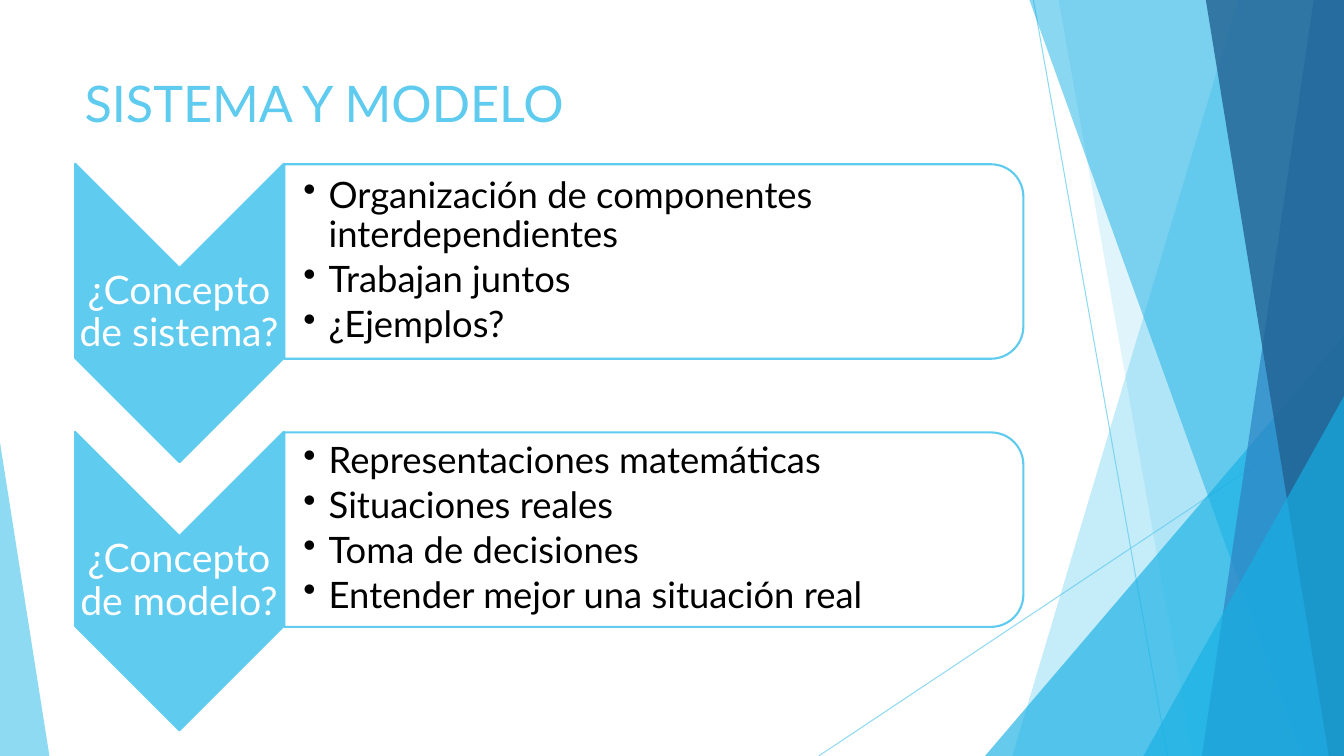
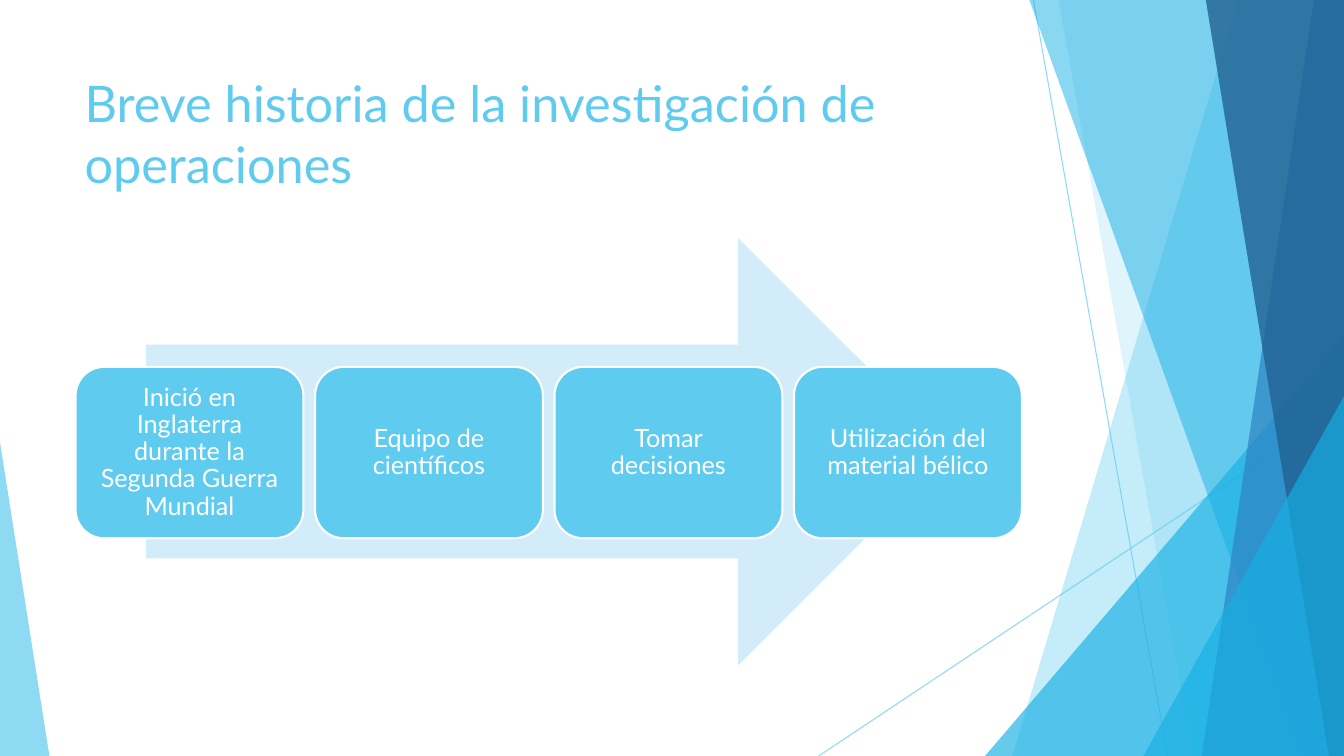
"""Build two slides on systems, models and the history of operations research."""
import dataclasses

import lxml.etree
import pptx
import pptx.dml.color
import pptx.enum.shapes
import pptx.enum.text
import pptx.oxml.ns
import pptx.util

Inches = pptx.util.Inches
Pt = pptx.util.Pt
MSO = pptx.enum.shapes.MSO_SHAPE
ALIGN = pptx.enum.text.PP_ALIGN
ANCHOR = pptx.enum.text.MSO_ANCHOR
qn = pptx.oxml.ns.qn


@dataclasses.dataclass(frozen=True)
class Theme:
    """Shared colours, font and type sizes."""
    font: str = "Lato"
    sky: str = "5FCBEF"
    cyan: str = "17B0E4"
    blue: str = "2E83C3"
    navy: str = "226292"
    pale: str = "D2ECF9"
    white: str = "FFFFFF"
    black: str = "000000"
    title: int = 36
    label: int = 28
    bullet: int = 26
    step: int = 18
    outline: float = 1.5
    hairline: float = 0.75


T = Theme()
W, H = 13.33, 7.5


def paint(sp, fill, alpha=100, line=None):
    """Set the fill, its opacity and the outline of a shape."""
    sp.shadow.inherit = False
    sp.fill.solid()
    sp.fill.fore_color.rgb = pptx.dml.color.RGBColor.from_string(fill)
    if line:
        sp.line.color.rgb = pptx.dml.color.RGBColor.from_string(line)
        sp.line.width = Pt(T.outline)
    else:
        sp.line.fill.background()
    if alpha < 100:
        clr = sp._element.spPr.find(".//" + qn("a:srgbClr"))
        lxml.etree.SubElement(clr, qn("a:alpha"), val=str(alpha * 1000))


def write(sp, lines, size, color, frame, para):
    """Fill a text frame, one paragraph a line, with the given formats."""
    tf = sp.text_frame
    tf.word_wrap = True
    for name, value in frame.items():
        setattr(tf, name, value)
    for i, line in enumerate(lines):
        p = tf.paragraphs[0] if i == 0 else tf.add_paragraph()
        for name, value in para.items():
            setattr(p, name, value)
        r = p.add_run()
        r.text = line
        r.font.name = T.font
        r.font.size = Pt(size)
        r.font.color.rgb = pptx.dml.color.RGBColor.from_string(color)
    return tf


MARGINS = ("margin_left", "margin_top", "margin_right", "margin_bottom")
TITLE_FRAME = {"vertical_anchor": ANCHOR.TOP}
LABEL_FRAME = dict.fromkeys(MARGINS, Inches(0.02)) | {"vertical_anchor": ANCHOR.MIDDLE}
BULLET_FRAME = LABEL_FRAME | {"margin_left": Inches(0.2)}
STEP_FRAME = LABEL_FRAME | dict.fromkeys(MARGINS, Inches(0.15))
TITLE_PARA = {"alignment": ALIGN.LEFT}
LABEL_PARA = {"alignment": ALIGN.CENTER, "line_spacing": 0.9}
BULLET_PARA = {"alignment": ALIGN.LEFT, "line_spacing": 0.9, "space_after": Pt(4)}

HAIRLINES = [(10.25, 0, 11.58, H), (W, 4.03, 8.12, H)]
BANDS = [
    ("band", 12.28, 10.04, T.sky, 36),
    ("band", 10.5, 11.83, T.sky, 20),
    ("triangle", 9.77, 3.33, W - 9.77, 1, T.cyan, 66),
    ("band", 10.21, 12.91, T.cyan, 50),
    ("band", 13.03, 11.92, T.blue, 70),
    ("band", 11.96, 13.18, T.navy, 80),
    ("triangle", 11.34, 3.93, W - 11.34, 1, T.cyan, 66),
    ("triangle", 0, 4.39, 0.49, 0, T.sky, 70),
]
TITLES = ["SISTEMA Y MODELO", "Breve historia de la investigación de operaciones"]
CONCEPTS = [
    ("¿Concepto de sistema?", [
        "Organización de componentes interdependientes",
        "Trabajan juntos",
        "¿Ejemplos?",
    ]),
    ("¿Concepto de modelo?", [
        "Representaciones matemáticas",
        "Situaciones reales",
        "Toma de decisiones",
        "Entender mejor una situación real",
    ]),
]
STEPS = [
    "Inició en Inglaterra durante la Segunda Guerra Mundial",
    "Equipo de científicos",
    "Tomar decisiones",
    "Utilización del material bélico",
]

prs = pptx.Presentation()
prs.slide_width, prs.slide_height = Inches(W), Inches(H)

slides = []
for title in TITLES:
    s = prs.slides.add_slide(prs.slide_layouts[6])
    slides.append(s)
    for ends in HAIRLINES:
        cx = s.shapes.add_connector(
            pptx.enum.shapes.MSO_CONNECTOR.STRAIGHT, *map(Inches, ends))
        cx.line.color.rgb = pptx.dml.color.RGBColor.from_string(T.sky)
        cx.line.width = Pt(T.hairline)
        spPr = cx._element.spPr
        clr = spPr.find(".//" + qn("a:srgbClr"))
        lxml.etree.SubElement(clr, qn("a:alpha"), val="70000")
        lxml.etree.SubElement(spPr, qn("a:effectLst"))
    for kind, *geometry, color, alpha in BANDS:
        if kind == "band":
            top_x, bottom_x = geometry
            fb = s.shapes.build_freeform(Inches(top_x), 0)
            corners = [(W, 0), (W, H), (bottom_x, H)]
            fb.add_line_segments([(Inches(x), Inches(y)) for x, y in corners])
            sp = fb.convert_to_shape()
        else:
            x, y, width, apex = geometry
            sp = s.shapes.add_shape(
                MSO.ISOSCELES_TRIANGLE, *map(Inches, (x, y, width, H - y)))
            sp.adjustments[0] = apex
        paint(sp, color, alpha)
    sp = s.shapes.add_textbox(*map(Inches, (0.74, 0.67, 9.4, 1.44)))
    write(sp, [title], T.title, T.sky, TITLE_FRAME, TITLE_PARA)

s = slides[0]
for i, (label, bullets) in enumerate(CONCEPTS):
    dy = 2.66 * i
    sp = s.shapes.add_shape(MSO.CHEVRON, *map(Inches, (0.3, 2.07 + dy, 2.96, 2.07)))
    sp.rotation = 90
    paint(sp, T.sky, line=T.sky)
    sp = s.shapes.add_textbox(*map(Inches, (0.74, 2.66 + dy, 2.07, 0.89)))
    write(sp, [label], T.label, T.white, LABEL_FRAME, LABEL_PARA)
    sp = s.shapes.add_shape(
        MSO.ROUND_2_SAME_RECTANGLE, *map(Inches, (5.52, -1.07 + dy, 1.93, 7.33)))
    sp.rotation = 90
    paint(sp, T.white, 90, T.sky)
    sp = s.shapes.add_textbox(*map(Inches, (2.81, 1.72 + dy, 7.23, 1.74)))
    tf = write(sp, bullets, T.bullet, T.black, BULLET_FRAME, BULLET_PARA)
    for p in tf.paragraphs:
        pPr = p._p.get_or_add_pPr()
        pPr.set("marL", str(Inches(0.25)))
        pPr.set("indent", str(Inches(-0.25)))
        lxml.etree.SubElement(pPr, qn("a:buChar"), char="•")

s = slides[1]
sp = s.shapes.add_shape(MSO.RIGHT_ARROW, *map(Inches, (1.45, 2.36, 7.99, 4.24)))
paint(sp, T.pale)
for i, step in enumerate(STEPS):
    sp = s.shapes.add_shape(
        MSO.ROUNDED_RECTANGLE, *map(Inches, (0.75 + 2.375 * i, 3.64, 2.26, 1.7)))
    paint(sp, T.sky, line=T.white)
    write(sp, [step], T.step, T.white, STEP_FRAME, LABEL_PARA)

prs.save("out.pptx")
